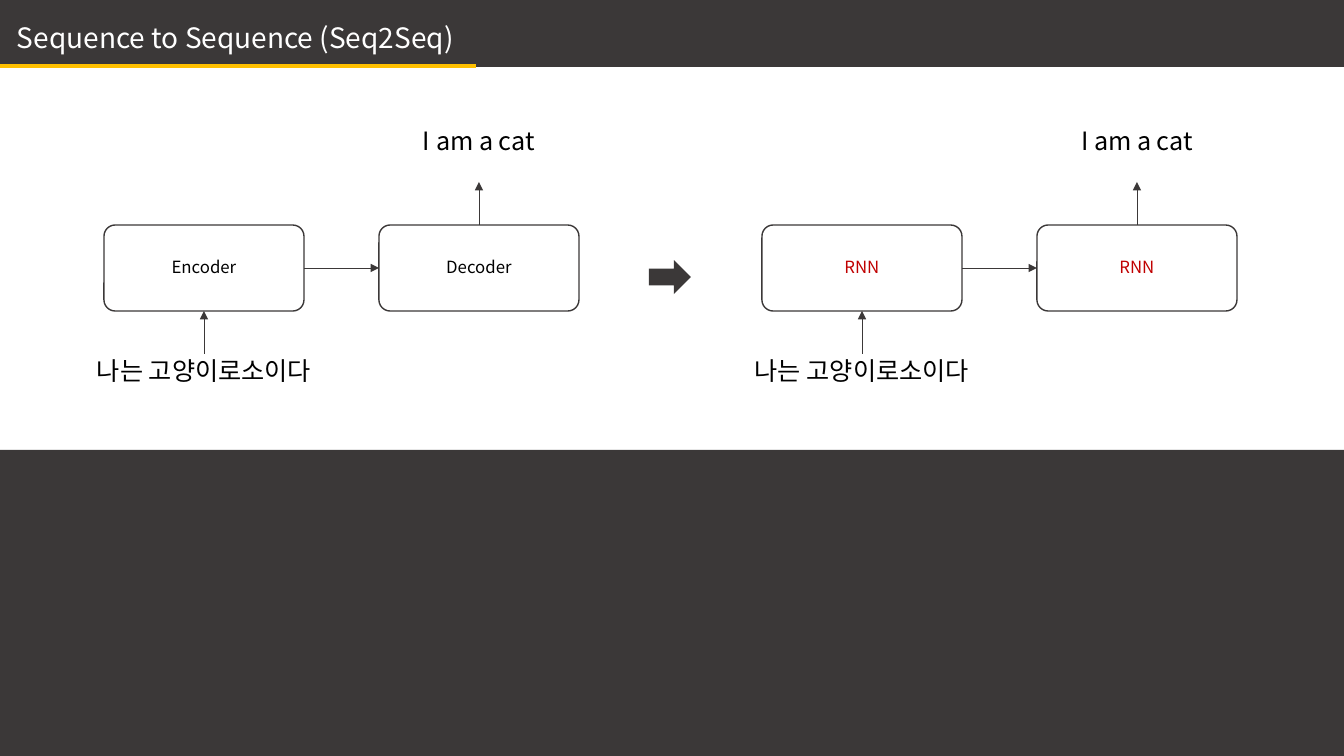
from dataclasses import dataclass

from lxml import etree
from pptx import Presentation
from pptx.dml.color import RGBColor
from pptx.enum.shapes import MSO_CONNECTOR, MSO_SHAPE
from pptx.enum.text import MSO_ANCHOR, MSO_AUTO_SIZE, PP_ALIGN
from pptx.oxml.ns import qn
from pptx.util import Pt

RECT, ROUNDED = MSO_SHAPE.RECTANGLE, MSO_SHAPE.ROUNDED_RECTANGLE
RIGHT_ARROW = MSO_SHAPE.RIGHT_ARROW
STRAIGHT = MSO_CONNECTOR.STRAIGHT
LEFT, CENTER = PP_ALIGN.LEFT, PP_ALIGN.CENTER
MIDDLE = MSO_ANCHOR.MIDDLE
GROW = MSO_AUTO_SIZE.SHAPE_TO_FIT_TEXT
TOP_SIDE, LEFT_SIDE, BOTTOM_SIDE, RIGHT_SIDE = range(4)

EMU_PER_PX = 914400 / 100.8
SLIDE_W, SLIDE_H = 1344, 756


def px(n):
    return round(n * EMU_PER_PX)


@dataclass(frozen=True)
class Theme:
    font: str = "Noto Sans CJK KR"
    dark: str = "3B3838"
    accent: str = "FFC000"
    white: str = "FFFFFF"
    black: str = "000000"
    red: str = "C00000"
    title_size: int = 20
    sentence_size: int = 18
    box_size: int = 12
    line_spacing: float = 0.9


class SlideBuilder:
    def __init__(self, slide, theme):
        self.slide, self.theme = slide, theme
        self.shapes = slide.shapes

    def start_group(self):
        """Send the elements that follow into a new group."""
        self.shapes = self.slide.shapes.add_group_shape().shapes

    def end_group(self):
        self.shapes = self.slide.shapes

    def set_text(self, sp, text, size, color, align):
        tf = sp.text_frame
        tf.word_wrap = True
        tf.text = text
        p = tf.paragraphs[0]
        p.alignment = align
        p.line_spacing = self.theme.line_spacing
        font = p.runs[0].font
        font.size = Pt(size)
        font.color.rgb = RGBColor.from_string(color)
        font.name = self.theme.font
        ea = etree.SubElement(font._element, qn("a:ea"))
        ea.set("typeface", self.theme.font)

    def solid(self, kind, x, y, w, h, color):
        sp = self.shapes.add_shape(kind, px(x), px(y), px(w), px(h))
        sp.shadow.inherit = False
        sp.fill.solid()
        sp.fill.fore_color.rgb = RGBColor.from_string(color)
        sp.line.fill.background()

    def box(self, x, y, w, h, text, color):
        sp = self.shapes.add_shape(ROUNDED, px(x), px(y), px(w), px(h))
        sp.adjustments[0] = 0.13
        sp.shadow.inherit = False
        sp.fill.background()
        sp.line.color.rgb = RGBColor.from_string(self.theme.dark)
        sp.line.width = Pt(1)
        self.set_text(sp, text, self.theme.box_size, color, CENTER)
        sp.text_frame.vertical_anchor = MIDDLE
        return sp

    def label(self, x, y, w, h, text, size, color, align):
        sp = self.shapes.add_textbox(px(x), px(y), px(w), px(h))
        self.set_text(sp, text, size, color, align)
        sp.text_frame.auto_size = GROW

    def arrow(self, x1, y1, x2, y2, start=None, end=None):
        """Draw an arrow; start and end are optional (shape, side) pairs."""
        cxn = self.shapes.add_connector(STRAIGHT, px(x1), px(y1), px(x2), px(y2))
        if start:
            cxn.begin_connect(*start)
        if end:
            cxn.end_connect(*end)
        cxn.line.color.rgb = RGBColor.from_string(self.theme.dark)
        cxn.line.width = Pt(0.5)
        sp_pr = cxn._element.spPr
        etree.SubElement(sp_pr.find(qn("a:ln")), qn("a:tailEnd")).set("type", "triangle")
        etree.SubElement(sp_pr, qn("a:effectLst"))

    def translator(self, x, names, color):
        """Draw the source sentence, two linked boxes and the target sentence."""
        theme = self.theme
        w, h, step, top, stem = 200, 86, 275, 225, 43
        bottom, mid_y = top + h, top + h // 2
        in_x, out_x = x + w // 2, x + step + w // 2
        text_in_w, text_out_w, text_h = 352, 202, 58

        self.start_group()
        first, second = [self.box(x + i * step, top, w, h, name, color)
                         for i, name in enumerate(names)]
        self.arrow(in_x, bottom + stem, in_x, bottom, end=(first, BOTTOM_SIDE))
        self.arrow(x + w, mid_y, x + step, mid_y,
                   start=(first, RIGHT_SIDE), end=(second, LEFT_SIDE))
        self.arrow(out_x, top, out_x, top - stem, start=(second, TOP_SIDE))
        self.label(in_x - text_in_w // 2, bottom + stem, text_in_w, text_h,
                   "나는 고양이로소이다", theme.sentence_size, theme.black, CENTER)
        self.label(out_x - text_out_w // 2, top - stem - text_h, text_out_w, text_h,
                   "I am a cat", theme.sentence_size, theme.black, CENTER)
        self.end_group()


def main():
    prs = Presentation()
    prs.slide_width, prs.slide_height = px(SLIDE_W), px(SLIDE_H)
    theme = Theme()
    s = SlideBuilder(prs.slides.add_slide(prs.slide_layouts[6]), theme)

    s.solid(RECT, 0, 0, SLIDE_W, 67, theme.dark)
    s.solid(RECT, 0, 450, SLIDE_W, SLIDE_H - 450, theme.dark)
    s.solid(RECT, 0, 64, 476, 4, theme.accent)
    s.label(7, 19, 474, 44, "Sequence to Sequence (Seq2Seq)",
            theme.title_size, theme.white, LEFT)

    s.translator(104, ("Encoder", "Decoder"), theme.black)
    s.translator(762, ("RNN", "RNN"), theme.red)
    s.solid(RIGHT_ARROW, 649, 260, 42, 34, theme.dark)

    prs.save("out.pptx")


if __name__ == "__main__":
    main()
